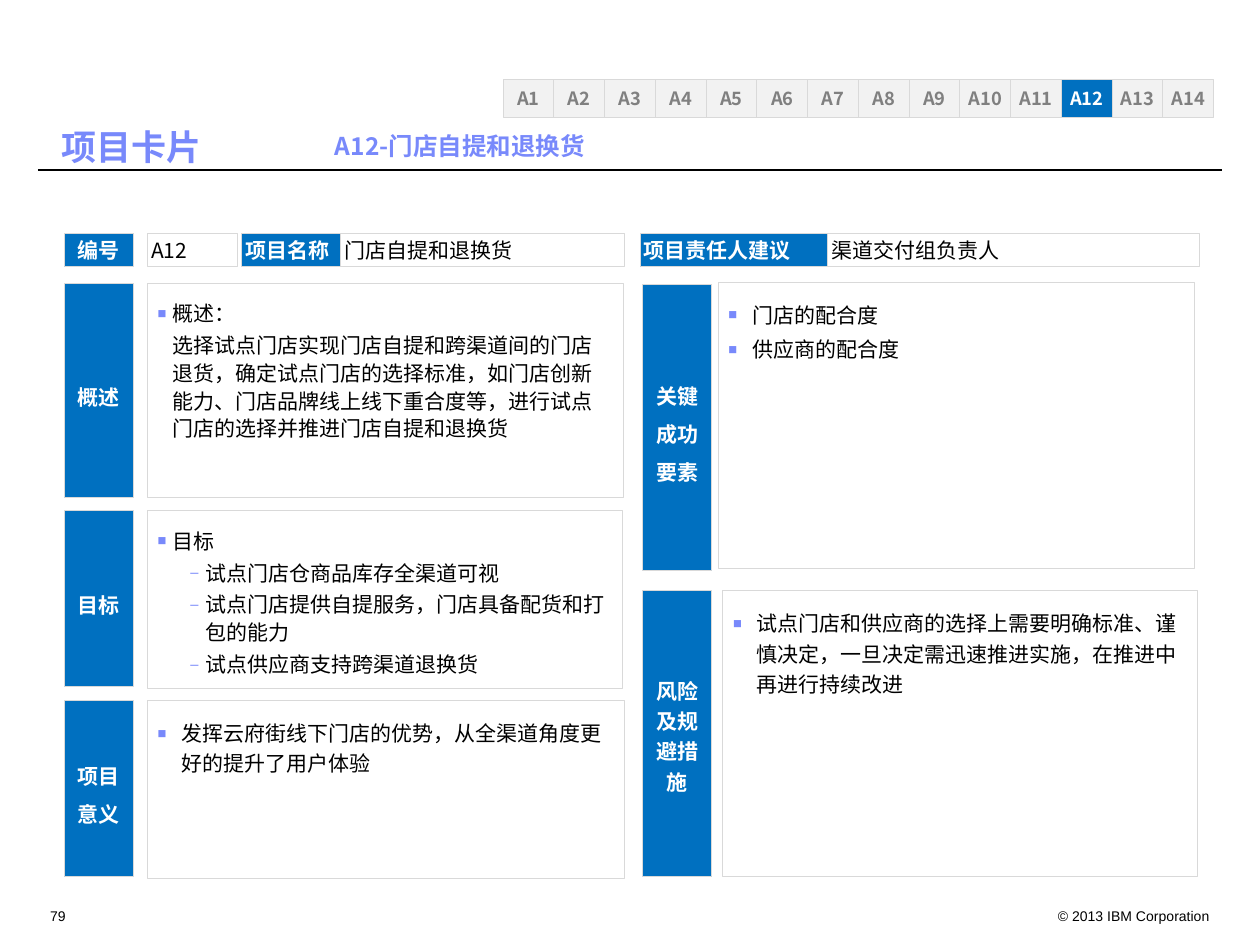
from lxml.etree import SubElement
from pptx import Presentation
from pptx.dml.color import RGBColor
from pptx.enum.shapes import MSO_CONNECTOR, MSO_SHAPE
from pptx.enum.text import MSO_ANCHOR, MSO_AUTO_SIZE, PP_ALIGN
from pptx.oxml.ns import qn
from pptx.util import Pt

THEME = {
    "font": "Noto Sans CJK SC", "small": "Arial",
    "blue": "0070C0", "violet": "7889FB", "white": "FFFFFF", "black": "000000",
    "edge": "D9D9D9", "pale": "F2F2F2", "gray": "808080",
    "head": 20, "sub": 14, "text": 12, "tab": 10.5, "foot": 8,
}
TITLE = "项目卡片"
SUB = "A12-门店自提和退换货"
TABS = [f"A{n}" for n in range(1, 15)]
ACTIVE = "A12"
FIELDS = [
    ("编号", 36.7, 39.6, True, PP_ALIGN.CENTER),
    ("A12", 84.2, 51.8, False, PP_ALIGN.LEFT),
    ("项目名称", 138.2, 56.5, True, PP_ALIGN.LEFT),
    ("门店自提和退换货", 194.7, 162.3, False, PP_ALIGN.LEFT),
    ("项目责任人建议", 365.8, 107.2, True, PP_ALIGN.LEFT),
    ("渠道交付组负责人", 473, 212.4, False, PP_ALIGN.LEFT),
]
BULLETS = {
    "tight": ("■", 8.6, -8.6, 1.1),
    "plain": (None, 8.6, 0, 1.1),
    "dash": ("–", 27.4, -8.6, 1.1),
    "wide": ("■", 13.7, -13.7, 1.2),
}
CARDS = [
    ("概述", (36.7, 162, 39.6, 122.4), 1.5, (84.2, 162, 272.2, 122.4), [
        ("tight", "概述："),
        ("plain", "选择试点门店实现门店自提和跨渠道间的门店退货，确定试点门店的选择标准，"
                  "如门店创新能力、门店品牌线上线下重合度等，进行试点门店的选择并推进门店自提和退换货")]),
    ("目标", (36.7, 291.8, 39.6, 100.6), 1.5, (84.2, 291.8, 271.5, 101.5), [
        ("tight", "目标"),
        ("dash", "试点门店仓商品库存全渠道可视"),
        ("dash", "试点门店提供自提服务，门店具备配货和打包的能力"),
        ("dash", "试点供应商支持跨渠道退换货")]),
    ("项目意义", (36.7, 400.3, 39.6, 100.8), 1.5, (84.2, 400.3, 272.4, 101.5), [
        ("wide", "发挥云府街线下门店的优势，从全渠道角度更好的提升了用户体验")]),
    ("关键成功要素", (367.2, 162.7, 39.6, 163.4), 1.5, (410.4, 161.3, 272.4, 163.4), [
        ("wide", "门店的配合度"),
        ("wide", "供应商的配合度")]),
    ("风险及规避措施", (367.2, 337.7, 39.6, 163.4), 1.2, (413.1, 337.7, 271.4, 163.4), [
        ("wide", "试点门店和供应商的选择上需要明确标准、谨慎决定，一旦决定需迅速推进实施，在推进中再进行持续改进")]),
]


def color(key):
    return RGBColor.from_string(THEME[key])


def assign(item, **values):
    for name, value in values.items():
        setattr(item, name, value)


def place(item, box):
    assign(item, **dict(zip(("left", "top", "width", "height"), map(Pt, box))))


def frame(item, pad, anchor, wrap=True):
    body = item.text_frame
    left, top, right, base = map(Pt, pad)
    assign(body, margin_left=left, margin_top=top, margin_right=right, margin_bottom=base,
           vertical_anchor=anchor, word_wrap=wrap, auto_size=MSO_AUTO_SIZE.NONE)
    return body


def write(para, text, size, tint, bold=False, face="font", **style):
    assign(para, **style)
    run = para.add_run()
    run.text = text
    assign(run.font, size=Pt(THEME[size]), bold=bold, name=THEME[face])
    run.font.color.rgb = color(tint)
    SubElement(run._r.get_or_add_rPr(), qn("a:ea"), typeface=THEME[face])


def paint(item, fill):
    item.fill.solid()
    item.fill.fore_color.rgb = color(fill)
    item.line.color.rgb = color("edge")
    item.line.width = Pt(0.5)


def block(slide, box, fill):
    item = slide.shapes.add_shape(MSO_SHAPE.RECTANGLE, *map(Pt, box))
    item.shadow.inherit = False
    paint(item, fill)
    return item


def label(slide, box, text, fill, tint, size="text", bold=True, align=PP_ALIGN.CENTER, space=1):
    body = frame(block(slide, box, fill), (2.2,) * 4, MSO_ANCHOR.MIDDLE)
    write(body.paragraphs[0], text, size, tint, bold, alignment=align, line_spacing=space)


def note(slide, box, text, size, tint, **style):
    body = frame(slide.shapes.add_textbox(*map(Pt, box)), (7.2, 3.6, 7.2, 3.6), MSO_ANCHOR.TOP, False)
    write(body.paragraphs[0], text, size, tint, **style)


def bullet(para, kind):
    mark, margin, indent, space = BULLETS[kind]
    props = para._p.get_or_add_pPr()
    props.set("marL", str(Pt(margin)))
    props.set("indent", str(Pt(indent)))
    if mark:
        tint = SubElement(props, qn("a:buClr"))
        SubElement(tint, qn("a:srgbClr"), val=THEME["violet"])
        SubElement(props, qn("a:buSzPct"), val="70000")
        SubElement(props, qn("a:buFont"), typeface=THEME["small"])
        SubElement(props, qn("a:buChar"), char=mark)
    else:
        SubElement(props, qn("a:buNone"))
    assign(para, level=int(kind == "dash"), line_spacing=space)


def panel(item, lines):
    paint(item, "white")
    body = frame(item, (5.8, 8.6, 5.8, 2.2), MSO_ANCHOR.TOP)
    for n, (kind, text) in enumerate(lines):
        para = body.add_paragraph() if n else body.paragraphs[0]
        bullet(para, kind)
        write(para, text, "text", "black", alignment=PP_ALIGN.LEFT, space_before=Pt(2.4 if n else 0))


def main():
    deck = Presentation()
    assign(deck, slide_width=Pt(720), slide_height=Pt(540))
    slide = deck.slides.add_slide(deck.slide_layouts[4])
    title, *slots = slide.placeholders

    rule = slide.shapes.add_connector(MSO_CONNECTOR.STRAIGHT, Pt(21.6), Pt(97.2), Pt(698.4), Pt(97.2))
    rule.line.color.rgb = color("black")
    rule.line.width = Pt(0.75)
    SubElement(rule._element.spPr, qn("a:effectLst"))

    place(title, (28.1, 67.7, 95, 31.7))
    body = frame(title, (7.2, 3.6, 7.2, 3.6), MSO_ANCHOR.MIDDLE, False)
    write(body.paragraphs[0], TITLE, "head", "violet", True, alignment=PP_ALIGN.LEFT)
    note(slide, (184.3, 71.3, 162, 24.5), SUB, "sub", "violet", bold=True)

    for n, text in enumerate(TABS):
        fill, tint = ("blue", "white") if text == ACTIVE else ("pale", "gray")
        label(slide, (287.5 + 29 * n, 45.4, 29, 21.6), text, fill, tint, "tab")

    for text, left, width, key, align in FIELDS:
        fill, tint = ("blue", "white") if key else ("white", "black")
        label(slide, (left, 133.2, width, 19.4), text, fill, tint, bold=key, align=align)

    for text, side, space, box, lines in CARDS:
        label(slide, side, text, "blue", "white", space=space)
        item = slots.pop(0) if slots else block(slide, box, "white")
        place(item, box)
        panel(item, lines)

    note(slide, (21.6, 514.8, 28.8, 14.4), "79", "foot", "black", face="small")
    note(slide, (590.4, 514.8, 108, 14.4), "© 2013 IBM Corporation", "foot", "black",
         face="small", alignment=PP_ALIGN.RIGHT)


    deck.save("out.pptx")


if __name__ == "__main__":
    main()
